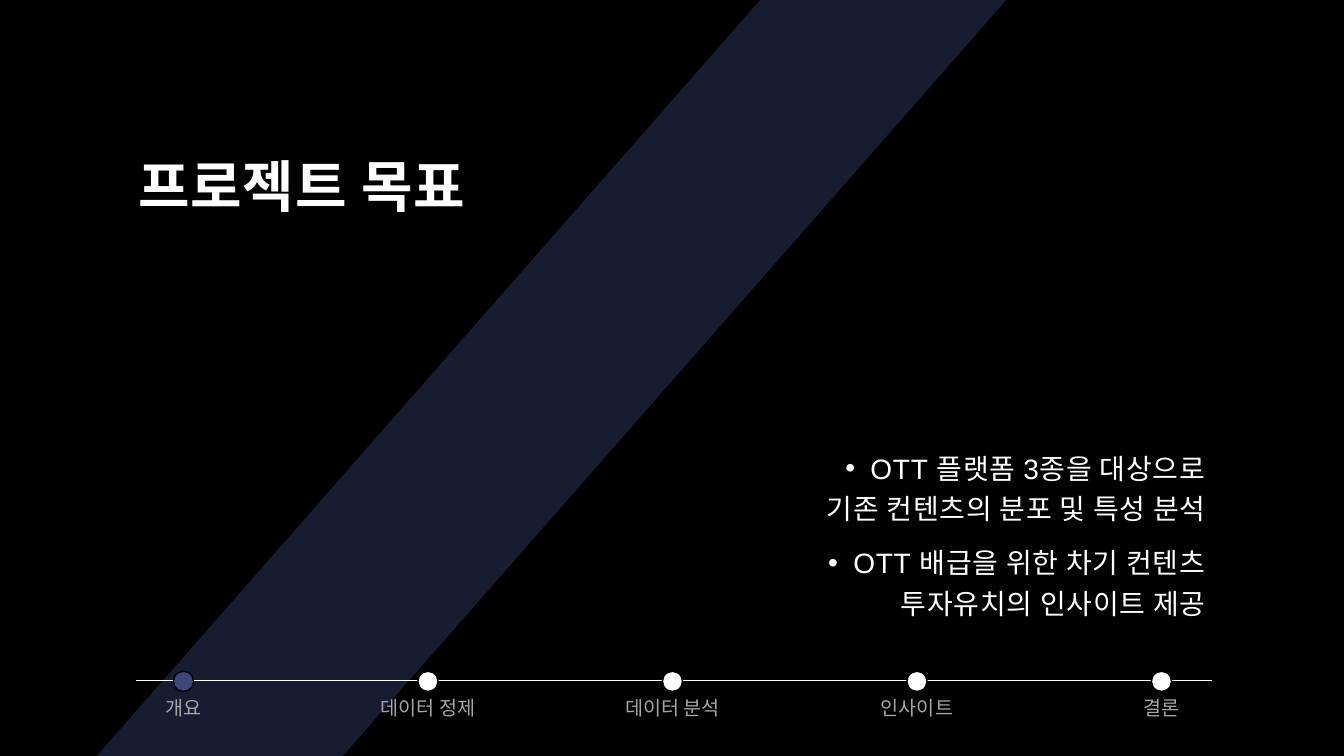
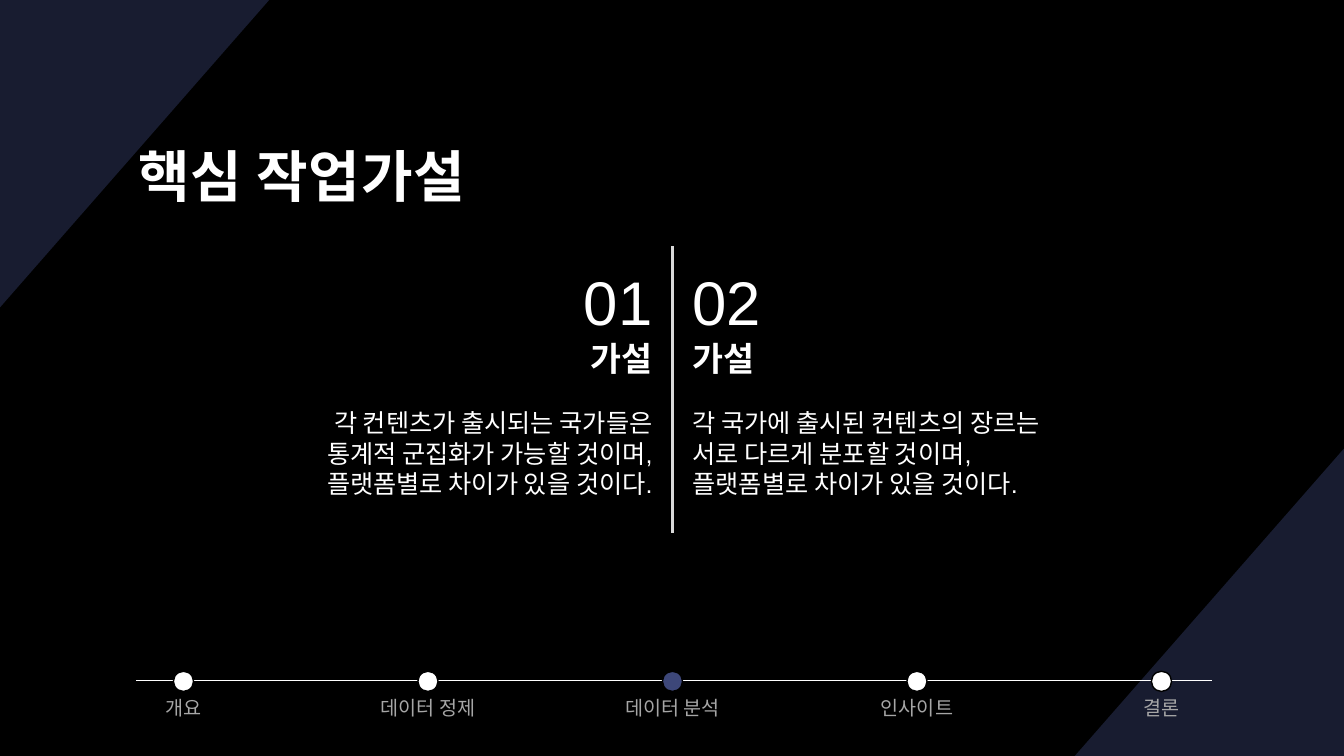
from lxml.etree import SubElement as Sub
from pptx import Presentation as Deck
from pptx.dml.color import RGBColor as RGB
from pptx.enum.shapes import MSO_CONNECTOR as Link, MSO_SHAPE as Form
from pptx.enum.text import MSO_ANCHOR as Anchor, MSO_AUTO_SIZE as Fit, PP_ALIGN as Align
from pptx.oxml.ns import qn
from pptx.util import Inches, Pt

BLACK, WHITE, NAVY, BLUE = "000000", "FFFFFF", "181C30", "3D4779"
GREY, PALE = "A6A6A6", "D9D9D9"
STEPS = ["개요", "데이터 정제", "데이터 분석", "인사이트", "결론"]


def hue(code):
    return RGB.from_string(code)


def say(frame, text, size=18, color=WHITE, bold=False, align=Align.LEFT,
        lead=None, before=0, track=0, mark=None):
    para = frame.paragraphs[0]
    if para.runs:
        para = frame.add_paragraph()
    para.alignment, para.space_before = align, Pt(before)
    if lead:
        para.line_spacing = lead
    if mark:
        prop = para._p.get_or_add_pPr()
        prop.set("marL", str(Inches(0.25)))
        prop.set("indent", str(-Inches(0.25)))
        Sub(prop, qn("a:buChar")).set("char", mark)
    for num, part in enumerate(text.split("\n")):
        if num:
            para.add_line_break()
        run = para.add_run()
        run.text = part
        font = run.font
        font.name, font.size, font.bold = "Arial", Pt(size), bold
        font.color.rgb = hue(color)
        if track:
            run._r.get_or_add_rPr().set("spc", str(round(track * 100)))


class Show:
    """Holds the shared style and the slide being built."""

    def __init__(self):
        self.deck = Deck()
        self.deck.slide_width, self.deck.slide_height = Inches(13.33), Inches(7.5)

    def page(self, kind):
        self.slide = self.deck.slides.add_slide(self.deck.slide_layouts[kind])
        self.shapes = self.slide.shapes
        fill = self.slide.background.fill
        fill.solid()
        fill.fore_color.rgb = hue(BLACK)

    def hold(self, item, box, anchor):
        item.left, item.top, item.width, item.height = map(Inches, box)
        frame = item.text_frame
        frame.word_wrap, frame.auto_size = True, Fit.NONE
        frame.vertical_anchor = anchor
        frame.margin_left = frame.margin_right = frame.margin_top = Inches(0.12)
        frame.margin_bottom = Inches(0.1)
        return frame

    def title(self, text, box, anchor):
        frame = self.hold(self.shapes.title, box, anchor)
        say(frame, text, size=40, bold=True, lead=1.1, track=0.7)

    def body(self, items, box):
        frame = self.hold(self.slide.placeholders[1], box, Anchor.BOTTOM)
        for text in items:
            say(frame, text, size=20, align=Align.RIGHT, lead=1.2,
                before=10, track=0.5, mark="•")

    def area(self, *points):
        first, *rest = [(Inches(x), Inches(y)) for x, y in points]
        pen = self.shapes.build_freeform(*first)
        pen.add_line_segments(rest, close=True)
        item = pen.convert_to_shape()
        item.shadow.inherit = False
        item.fill.solid()
        item.fill.fore_color.rgb = hue(NAVY)
        item.line.fill.background()
        item.element.getparent().insert(2, item.element)

    def rule(self, x, y, end, low, color=WHITE, width=1):
        item = self.shapes.add_connector(
            Link.STRAIGHT, *map(Inches, (x, y, end, low)))
        item.line.color.rgb, item.line.width = hue(color), Pt(width)
        Sub(item.element.spPr, qn("a:effectLst"))

    def dot(self, x, y, color, size=0.2):
        item = self.shapes.add_shape(
            Form.OVAL, *map(Inches, (x - size / 2, y - size / 2, size, size)))
        item.shadow.inherit = False
        item.fill.solid()
        item.fill.fore_color.rgb = hue(color)
        item.line.color.rgb, item.line.width = hue(BLACK), Pt(1)

    def text(self, *box):
        frame = self.shapes.add_textbox(*map(Inches, box)).text_frame
        frame.word_wrap, frame.auto_size = True, Fit.SHAPE_TO_FIT_TEXT
        return frame

    def track(self, now):
        self.rule(1.35, 6.75, 12.02, 6.75)
        for num, name in enumerate(STEPS):
            x = 1.82 + 2.425 * num
            self.dot(x, 6.76, BLUE if name == now else WHITE)
            frame = self.text(x - 0.755, 6.85, 1.51, 0.34)
            say(frame, name, size=14, color=GREY, align=Align.CENTER)

    def claim(self, x, mark, lines, align):
        frame = self.text(x, 2.57, 4.75, 2.46)
        say(frame, mark, size=44, align=align)
        say(frame, "가설", size=24, bold=True, align=align)
        for num, line in enumerate(lines):
            say(frame, line, align=align, before=0 if num else 21)


def main():
    show = Show()

    show.page(1)
    show.area((7.54, 0), (9.98, 0), (3.4, 7.5), (0.96, 7.5))
    show.title("프로젝트 목표", (1.25, 1.32, 4.18, 2.1), Anchor.TOP)
    show.body(["OTT 플랫폼 3종을 대상으로\n기존 컨텐츠의 분포 및 특성 분석",
               "OTT 배급을 위한 차기 컨텐츠\n투자유치의 인사이트 제공"],
              (7.08, 2.72, 5, 3.53))
    show.track("개요")

    show.page(5)
    show.area((13.33, 4.45), (13.33, 7.5), (10.66, 7.5))
    show.area((0, 3.05), (0, 0), (2.67, 0))
    show.title("핵심 작업가설", (1.25, 0.95, 10.83, 1.49), Anchor.MIDDLE)
    show.track("데이터 분석")
    last = "플랫폼별로 차이가 있을 것이다."
    show.claim(1.82, "01", ["각 컨텐츠가 출시되는 국가들은",
                            "통계적 군집화가 가능할 것이며,", last], Align.RIGHT)
    show.claim(6.77, "02", ["각 국가에 출시된 컨텐츠의 장르는",
                            "서로 다르게 분포할 것이며,", last], Align.LEFT)
    show.rule(6.67, 2.44, 6.67, 5.29, color=PALE, width=1.5)

    show.deck.save("out.pptx")


if __name__ == "__main__":
    main()
